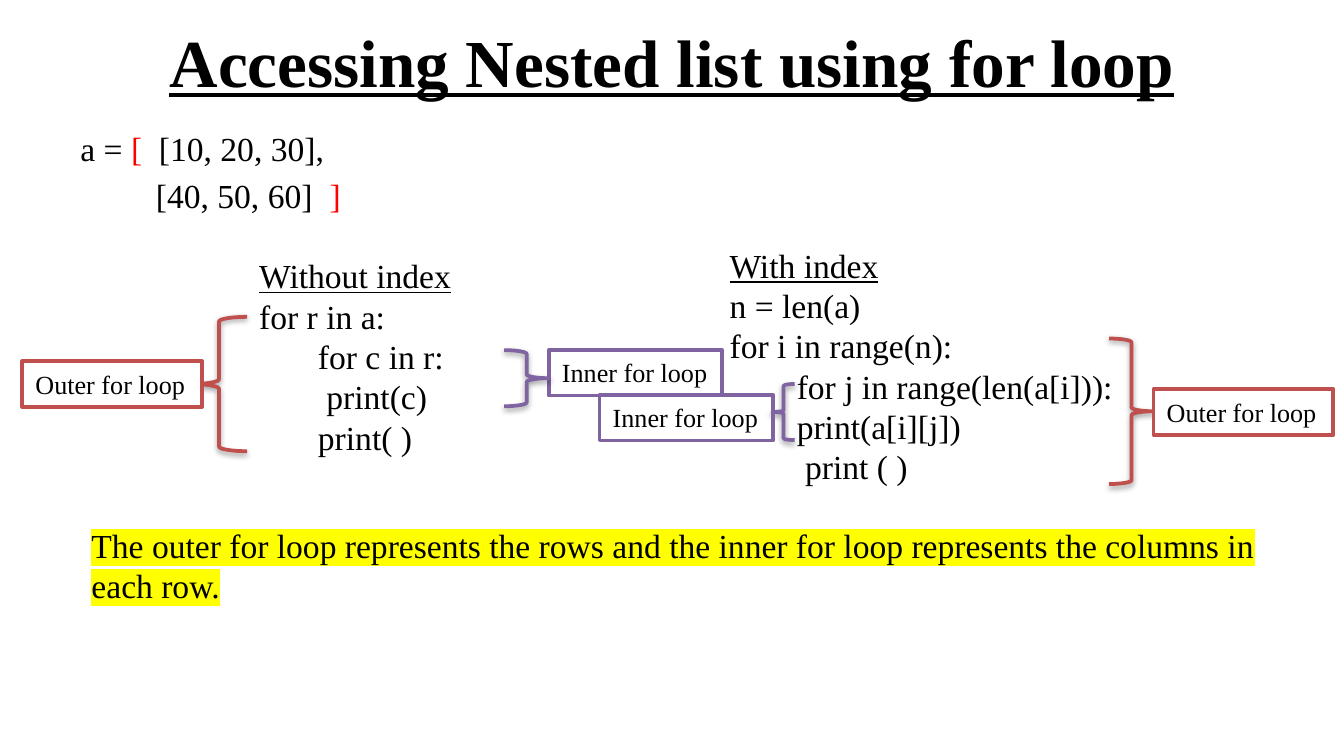
import pptx
import pptx.dml.color
import pptx.enum.shapes
import pptx.enum.text
import pptx.oxml
import pptx.oxml.ns
import pptx.util
from dataclasses import dataclass

Cm = pptx.util.Cm
Pt = pptx.util.Pt
Brace = pptx.enum.shapes.MSO_SHAPE
NS = pptx.oxml.ns.nsdecls("a")


@dataclass(frozen=True)
class Theme:
    face: str = "Times New Roman"
    ink: str = "000000"
    paper: str = "FFFFFF"
    bracket: str = "FF0000"
    marker: str = "FFFF00"
    outer: str = "C0504D"
    inner: str = "8064A2"
    title_size: int = 36
    body_size: int = 18
    label_size: int = 14
    stroke: int = 2


def rgb(colour):
    return pptx.dml.color.RGBColor.from_string(colour)


class LessonSlide:
    def __init__(self, deck, theme):
        self.theme = theme
        self.slide = deck.slides.add_slide(deck.slide_layouts[6])

    def box(self, place):
        return self.slide.shapes.add_textbox(*(Cm(length) for length in place))

    def style(self, paragraph, size, underline=False):
        paragraph.font.name = self.theme.face
        paragraph.font.size = Pt(size)
        paragraph.font.color.rgb = rgb(self.theme.ink)
        paragraph.font.underline = underline

    def title(self, place, wording):
        frame = self.box(place).text_frame
        frame.word_wrap = True
        frame.vertical_anchor = pptx.enum.text.MSO_ANCHOR.MIDDLE
        heading = frame.paragraphs[0]
        heading.text = wording
        heading.alignment = pptx.enum.text.PP_ALIGN.CENTER
        self.style(heading, self.theme.title_size, underline=True)
        heading.font.bold = True

    def text(self, place, lines, headed=False, gap=0, marked=False):
        frame = self.box(place).text_frame
        frame.word_wrap = True
        for number, pieces in enumerate(lines):
            line = frame.add_paragraph() if number else frame.paragraphs[0]
            if number and gap:
                line.space_before = Pt(gap)
            self.style(line, self.theme.body_size, headed and number == 0)
            for wording, colour in pieces:
                run = line.add_run()
                run.text = wording
                if colour:
                    run.font.color.rgb = rgb(colour)
                if marked:
                    run.font._element.append(pptx.oxml.parse_xml(
                        f'<a:highlight {NS}><a:srgbClr val="{self.theme.marker}"/></a:highlight>'))

    def code(self, place, heading, *lines):
        self.text(place, [[(line, None)] for line in (heading, *lines)], headed=True)

    def brace(self, kind, place, colour):
        brace = self.slide.shapes.add_shape(kind, *(Cm(length) for length in place))
        brace.fill.background()
        brace.line.color.rgb = rgb(colour)
        brace.line.width = Pt(self.theme.stroke)
        brace._element.spPr.append(pptx.oxml.parse_xml(
            f'<a:effectLst {NS}><a:outerShdw blurRad="40000" dist="20000" dir="5400000" rotWithShape="0">'
            '<a:srgbClr val="000000"><a:alpha val="38000"/></a:srgbClr></a:outerShdw></a:effectLst>'))

    def label(self, place, wording, colour, filled=True):
        tag = self.box(place)
        if filled:
            tag.fill.solid()
            tag.fill.fore_color.rgb = rgb(self.theme.paper)
        tag.line.color.rgb = rgb(colour)
        tag.line.width = Pt(self.theme.stroke)
        tag.text_frame.word_wrap = False
        caption = tag.text_frame.paragraphs[0]
        caption.text = wording
        self.style(caption, self.theme.label_size)


def main():
    theme = Theme()
    deck = pptx.Presentation()
    deck.slide_width, deck.slide_height = Cm(25.4), Cm(14.29)
    lesson = LessonSlide(deck, theme)

    lesson.title((1.27, -0.05, 22.86, 2.39), "Accessing Nested list using for loop")
    lesson.text((1.27, 2.29, 18.85, 3.18), [
        [("a = ", None), ("[", theme.bracket), ("  [10, 20, 30],", None)],
        [("         [40, 50, 60]  ", None), ("]", theme.bracket)],
    ], gap=3.6)
    lesson.code((13.54, 4.5, 9.32, 4.88), "With index", "n = len(a)", "for i in range(n):",
                "        for j in range(len(a[i])):", "\tprint(a[i][j])", "         print ( )")
    lesson.code((4.65, 4.7, 6.55, 4.11), "Without index", "for r in a:",
                "       for c in r:", "\tprint(c)", "       print( )")

    outer, inner = "Outer for loop", "Inner for loop"
    lesson.brace(Brace.LEFT_BRACE, (3.61, 5.99, 1.06, 2.54), theme.outer)
    lesson.label((0.42, 6.83, 3.4, 0.86), outer, theme.outer)
    lesson.brace(Brace.RIGHT_BRACE, (20.96, 6.4, 0.85, 2.75), theme.outer)
    lesson.label((21.8, 7.36, 3.4, 0.86), outer, theme.outer)
    lesson.label((10.37, 6.62, 3.28, 0.86), inner, theme.inner)
    lesson.brace(Brace.RIGHT_BRACE, (9.53, 6.62, 0.85, 1.06), theme.inner)
    lesson.brace(Brace.LEFT_BRACE, (14.6, 7.26, 0.42, 1.06), theme.inner)
    lesson.label((11.33, 7.47, 3.28, 0.86), inner, theme.inner, filled=False)

    lesson.text((1.48, 9.8, 23.09, 1.8), [[(
        "The outer for loop represents the rows and the inner for loop "
        "represents the columns in each row.", None)]], marked=True)
    deck.save("out.pptx")


if __name__ == "__main__":
    main()
